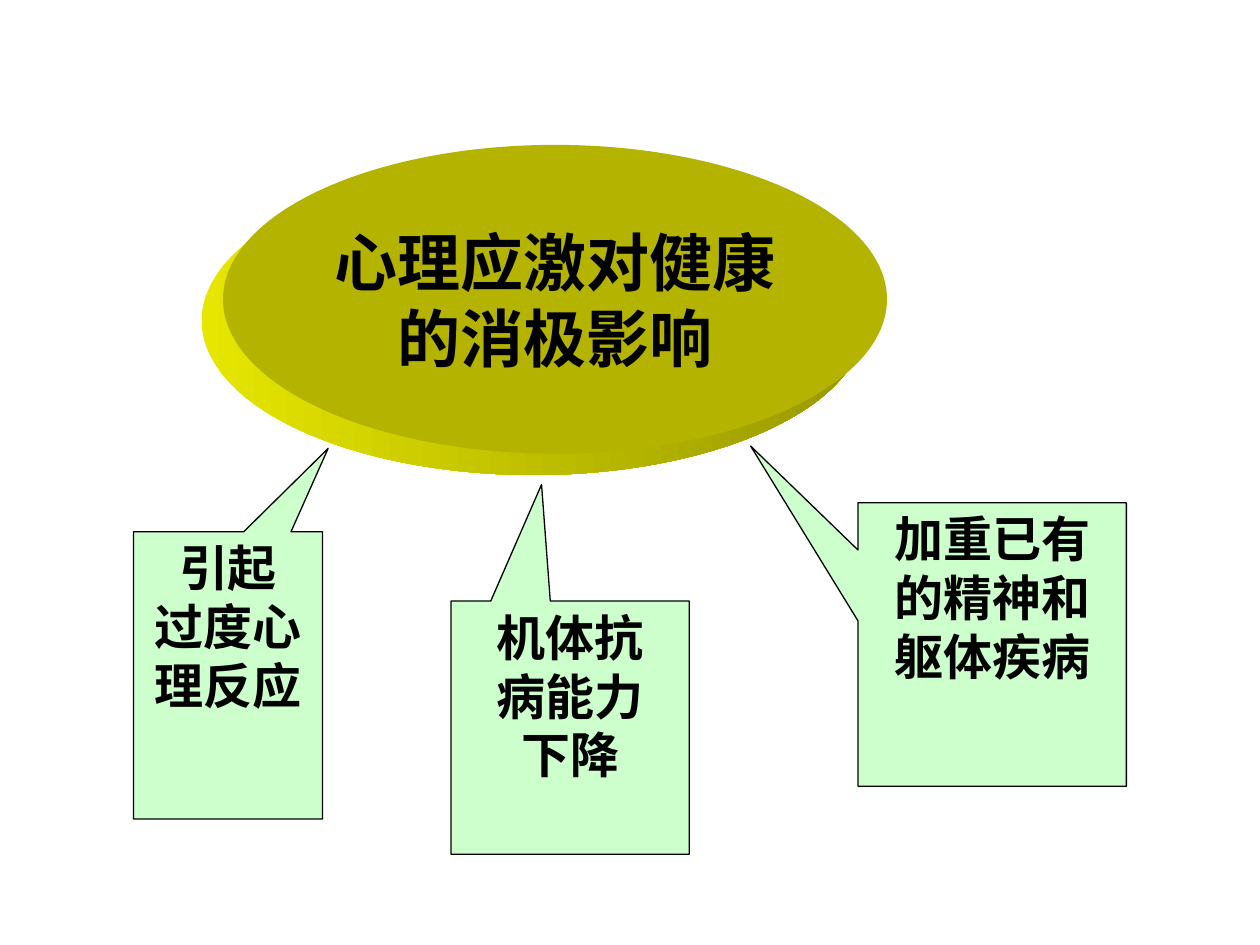
from pptx import Presentation
from pptx.dml.color import RGBColor
from pptx.enum.shapes import MSO_SHAPE as Shape
from pptx.enum.text import MSO_ANCHOR as Anchor, PP_ALIGN as Align
from pptx.util import Inches, Pt

FONT = "Times New Roman"
TITLE = ["心理应激对健康", "的消极影响"]
ELLIPSE = (1.77, 1.15, 5.27, 2.45)
DEPTH = 0.17
EFFECTS = [
    (["引起", "过度心理反应"], (1.06, 4.22, 1.5, 2.28), (0.53, -0.79)),
    (["加重已有", "的精神和", "躯体疾病"], (6.81, 3.99, 2.13, 2.25), (-0.9, -0.7)),
    (["机体抗", "病能力", "下降"], (3.58, 4.77, 1.89, 2.01), (-0.12, -0.96)),
]


def color(value):
    return RGBColor.from_string(value)


def add_shape(slide, kind, box, fill):
    shape = slide.shapes.add_shape(kind, *map(Inches, box))
    shape.shadow.inherit = False
    shape.fill.solid()
    shape.fill.fore_color.rgb = color(fill)
    shape.line.fill.background()
    return shape


def write(shape, lines, size, anchor, wrap):
    frame = shape.text_frame
    frame.text = "\n".join(lines)
    frame.word_wrap = wrap
    frame.vertical_anchor = anchor
    for paragraph in frame.paragraphs:
        paragraph.alignment = Align.CENTER
        for run in paragraph.runs:
            run.font.name = FONT
            run.font.size = Pt(size)
            run.font.bold = True
            run.font.color.rgb = color("000000")


def add_disc(slide):
    left, top, width, height = ELLIPSE
    edge = add_shape(slide, Shape.OVAL, (left - DEPTH, top + DEPTH, width, height), "A0A000")
    edge.fill.gradient()
    edge.fill.gradient_angle = 0
    for stop, shade in zip(edge.fill.gradient_stops, ("E6E600", "989800")):
        stop.color.rgb = color(shade)
    face = add_shape(slide, Shape.OVAL, ELLIPSE, "B3B300")
    write(face, TITLE, 36, Anchor.MIDDLE, False)


def add_callout(slide, lines, box, tip):
    callout = add_shape(slide, Shape.RECTANGULAR_CALLOUT, box, "CCFFCC")
    callout.adjustments[0], callout.adjustments[1] = tip
    callout.line.color.rgb = color("000000")
    callout.line.width = Pt(0.75)
    write(callout, lines, 28, Anchor.TOP, True)


def main():
    presentation = Presentation()
    presentation.slide_width = Inches(10)
    presentation.slide_height = Inches(7.5)
    slide = presentation.slides.add_slide(presentation.slide_layouts[6])
    add_disc(slide)
    for lines, box, tip in EFFECTS:
        add_callout(slide, lines, box, tip)
    presentation.save("out.pptx")


if __name__ == "__main__":
    main()
